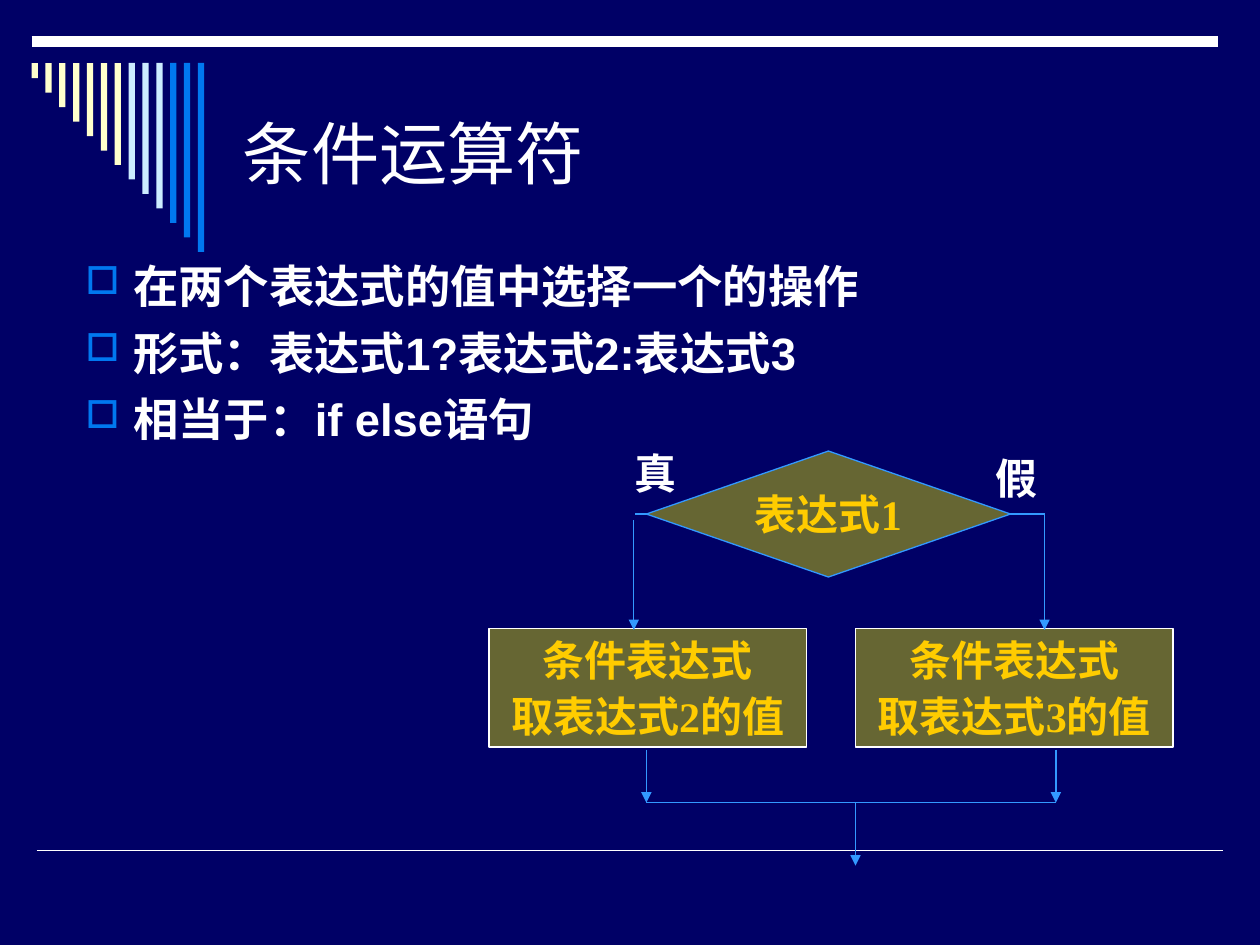
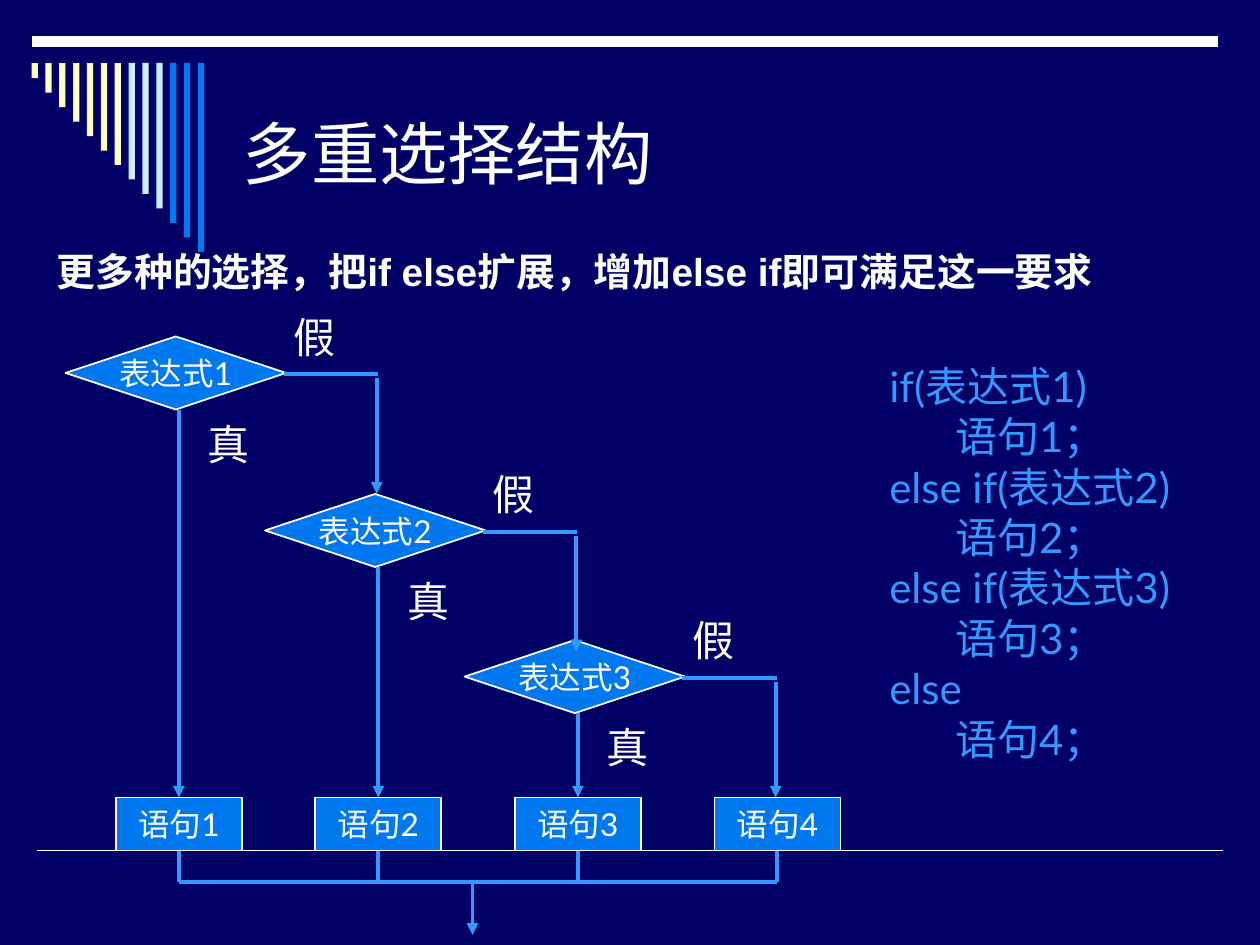
from pptx import Presentation, util as u
from pptx.dml.color import RGBColor
from pptx.enum import shapes, text
from pptx.oxml import ns, xmlchemy as xc
from lxml import etree

NAVY = RGBColor(0x00, 0x00, 0x66)
WHITE = RGBColor(0xFF, 0xFF, 0xFF)
CREAM = RGBColor(0xFF, 0xFF, 0xCC)
ICE = RGBColor(0xCC, 0xEC, 0xFF)
BLUE = RGBColor(0x00, 0x78, 0xF0)
SKY = RGBColor(0x33, 0x99, 0xFF)
OLIVE = RGBColor(0x66, 0x66, 0x33)
GOLD = RGBColor(0xFF, 0xCC, 0x00)

TITLE = {"name": "Arial", "size": u.Pt(39)}
BULLET = {"name": "Arial", "size": u.Pt(25.9), "bold": True}
LEAD = {"name": "Arial", "size": u.Pt(22.2), "bold": True}
SERIF = {"name": "Times New Roman", "size": u.Pt(24), "bold": True}
NODE = {"name": "Lato", "size": u.Pt(18)}
LABEL = {"name": "Lato", "size": u.Pt(24)}

RECT = shapes.MSO_SHAPE.RECTANGLE
PROCESS = shapes.MSO_SHAPE.FLOWCHART_PROCESS
DECISION = shapes.MSO_SHAPE.FLOWCHART_DECISION
CENTER = text.PP_ALIGN.CENTER
MIDDLE = text.MSO_ANCHOR.MIDDLE


def add_child(parent, tag, **attrs):
    """Append a drawing element with the given attributes."""
    child = etree.SubElement(parent, ns.qn(tag))
    for key, value in attrs.items():
        child.set(key, value)
    return child


def add_bullet(p):
    """Give a paragraph a hanging blue square."""
    pPr = p._p.get_or_add_pPr()
    pPr.set("marL", str(u.Inches(0.38)))
    pPr.set("indent", str(-u.Inches(0.38)))
    add_child(add_child(pPr, "a:buClr"), "a:srgbClr", val=str(BLUE))
    add_child(pPr, "a:buSzPct", val="85000")
    add_child(pPr, "a:buChar", char="□")


def write(sp, lines, font, color=WHITE, align=None, anchor=MIDDLE, wrap=False, gap=0, bullet=False):
    """Fill a shape with equally formatted paragraphs."""
    tf = sp.text_frame
    tf.word_wrap, tf.vertical_anchor = wrap, anchor
    for i, line in enumerate(lines):
        p = tf.paragraphs[0] if i == 0 else tf.add_paragraph()
        p.alignment = align
        if i and gap:
            p.space_before = u.Pt(gap)
        if bullet:
            add_bullet(p)
        r = p.add_run()
        r.text = line
        for key, value in font.items():
            setattr(r.font, key, value)
        r.font.color.rgb = color


def add_text(s, box, lines, font, **layout):
    """Place a text box."""
    write(s.shapes.add_textbox(*map(u.Inches, box)), lines, font, **layout)


def add_node(s, kind, box, fill, line=None, width=1):
    """Place a flat preset shape."""
    sp = s.shapes.add_shape(kind, *map(u.Inches, box))
    sp.shadow.inherit = False
    sp.fill.solid()
    sp.fill.fore_color.rgb = fill
    if line is None:
        sp.line.fill.background()
    else:
        sp.line.color.rgb = line
        sp.line.width = u.Pt(width)
    return sp


def add_line(s, x1, y1, x2, y2, width, color=SKY, arrow=False):
    """Draw a straight line, with an arrowhead at its end if asked."""
    c = s.shapes.add_connector(shapes.MSO_CONNECTOR.STRAIGHT, *map(u.Inches, (x1, y1, x2, y2)))
    c.line.color.rgb = color
    c.line.width = u.Pt(width)
    spPr = c._element.spPr
    if arrow:
        add_child(spPr.find(ns.qn("a:ln")), "a:tailEnd", type="triangle")
    add_child(spPr, "a:effectLst")


def add_base(prs, title):
    """Start a slide with the shared background, rules, bars and title."""
    s = prs.slides.add_slide(prs.slide_layouts[6])
    s.background.fill.solid()
    s.background.fill.fore_color.rgb = NAVY
    add_line(s, 0.29, 6.75, 9.71, 6.75, 1, WHITE)
    add_line(s, 0.25, 0.33, 9.67, 0.33, 6, WHITE)
    for i, color in enumerate([CREAM] * 7 + [ICE] * 3 + [BLUE] * 3):
        add_node(s, RECT, (0.25 + 0.11 * i, 0.5, 0.05, 0.12 + 1.38 * i / 12), color)
    add_text(s, (1.83, 0.5, 7.67, 1.42), [title], TITLE, wrap=True)
    return s


def add_choice(s, x, y):
    """Draw the two-way choice with its top left corner at x, y."""
    left, right, arm = x + 1.15, x + 4.41, y + 0.58
    add_line(s, left + 0.01, arm, right, arm, 0.75)
    sp = add_node(s, DECISION, (x + 1.25, y + 0.08, 2.89, 1), OLIVE, SKY, 0.75)
    write(sp, ["表达式1"], SERIF, GOLD, CENTER)
    for i in range(2):
        sp = add_node(s, RECT, (x + 2.91 * i, y + 1.49, 2.52, 0.94), OLIVE, WHITE, 0.75)
        write(sp, ["条件表达式", f"取表达式{i + 2}的值"], SERIF, GOLD, CENTER, gap=3)
    add_line(s, left, arm + 0.05, left, y + 1.5, 0.75, arrow=True)
    add_line(s, right, arm, right, y + 1.5, 0.75, arrow=True)
    for label, dx, dy in (("真", 1.06, 0), ("假", 3.92, 0.04)):
        add_text(s, (x + dx, y + dy, 0.53, 0.5), [label], SERIF, align=CENTER)
    ends = x + 1.25, x + 4.5
    for end in ends:
        add_line(s, end, y + 2.45, end, y + 2.87, 0.75, arrow=True)
    add_line(s, ends[0], y + 2.87, ends[1], y + 2.87, 0.75)
    add_line(s, x + 2.91, y + 2.87, x + 2.91, y + 3.37, 0.75, arrow=True)


def add_test(s, x, y, number, bottom):
    """Draw one decision with its true and false branches."""
    sp = add_node(s, DECISION, (x, y, 1.75, 0.58), BLUE, WHITE)
    write(sp, [f"表达式{number}"], NODE, align=CENTER)
    add_line(s, x + 2.47, y + 0.33, x + 2.47, y + 1.25, 2.25, arrow=True)
    add_line(s, x + 0.9, y + 0.58, x + 0.9, bottom, 2.25, arrow=True)
    add_line(s, x + 2.48, y + 0.3, x + 1.73, y + 0.3, 2.25)
    for label, dx, dy in (("假", 1.71, -0.25), ("真", 1.03, 0.6)):
        add_text(s, (x + dx, y + dy, 0.53, 0.5), [label], LABEL, anchor=text.MSO_ANCHOR.TOP)


def add_cascade(s, x, y):
    """Draw the chain of decisions with its top left corner at x, y."""
    pitch, bottom = 4.75 / 3, y + 3.66
    for i, dy in reversed(list(enumerate((0, 1.25, 2.41)))):
        add_test(s, x + pitch * i, y + dy, i + 1, bottom)
    for i in range(4):
        left = x + 0.4 + pitch * i
        sp = add_node(s, PROCESS, (left, bottom, 1, 0.42), BLUE, WHITE)
        write(sp, [f"语句{i + 1}"], NODE, align=CENTER)
        add_line(s, left + 0.5, bottom + 0.42, left + 0.5, bottom + 0.67, 2.25)
    add_line(s, x + 5.65, bottom + 0.67, x + 0.9, bottom + 0.67, 2.25)
    add_line(s, x + 3.23, bottom + 0.67, x + 3.23, bottom + 1.09, 2.25, arrow=True)


def add_code(s, box):
    """Place the multi-way if statement."""
    lines = []
    heads = ["if(表达式1)", "else if(表达式2)", "else if(表达式3)", "else"]
    for i, head in enumerate(heads, 1):
        lines += [head, f"       语句{i}；"]
    add_text(s, box, lines, LABEL, color=SKY, anchor=text.MSO_ANCHOR.TOP)


def build_operator(prs):
    """Build the slide on the conditional operator."""
    s = add_base(prs, "条件运算符")
    lines = ["在两个表达式的值中选择一个的操作", "形式：表达式1?表达式2:表达式3", "相当于：if else语句"]
    add_text(s, (0.58, 2, 8.9, 1.58), lines, BULLET, anchor=text.MSO_ANCHOR.TOP,
             wrap=True, gap=7, bullet=True)
    add_choice(s, 3.88, 3.5)


def build_structure(prs):
    """Build the slide on the multi-way selection."""
    s = add_base(prs, "多重选择结构")
    add_text(s, (0.35, 1.92, 9.21, 0.58), ["更多种的选择，把if else扩展，增加else if即可满足这一要求"],
             LEAD, anchor=text.MSO_ANCHOR.TOP, wrap=True)
    add_cascade(s, 0.52, 2.67)
    add_code(s, (6.96, 2.81, 2.66, 3.7))


def main():
    """Build and save the presentation."""
    prs = Presentation()
    prs.slide_width, prs.slide_height = u.Inches(10), u.Inches(7.5)
    build_operator(prs)
    build_structure(prs)
    prs.save("out.pptx")


if __name__ == "__main__":
    main()
